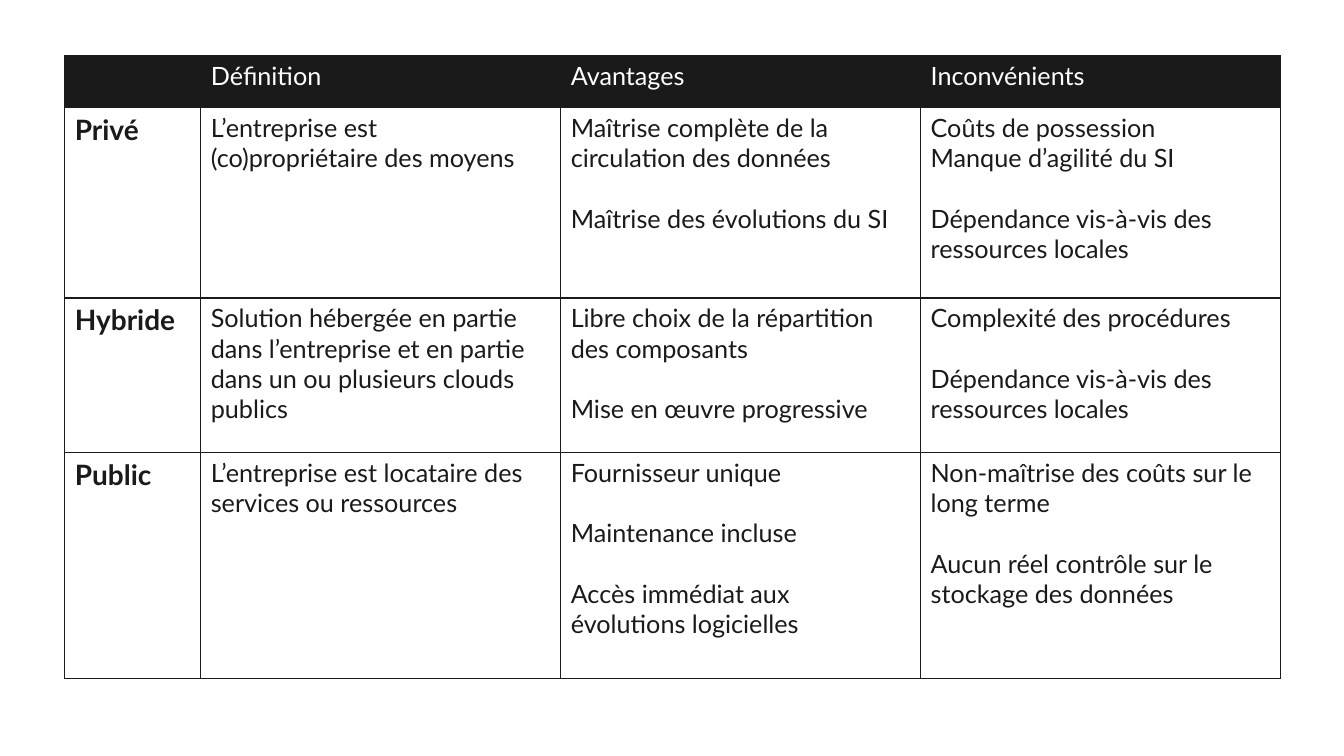
from lxml import etree
from pptx import Presentation
from pptx import util as u
from pptx.dml import color
from pptx.oxml import ns

COLORS = {"ink": "1A1A1A", "paper": "FFFFFF"}
FONT = "Lato"
BLANK_LINE = u.Pt(21.6)

column_widths = [3.43, 9.07, 9.07, 9.07]
row_heights = [1.3, 4.8, 3.89, 5.69]

cloud_models = [
    [[], ["Définition"], ["Avantages"], ["Inconvénients"]],
    [
        ["Privé"],
        ["L’entreprise est (co)propriétaire des moyens"],
        ["Maîtrise complète de la circulation des données", "Maîtrise des évolutions du SI"],
        ["Coûts de possession\nManque d’agilité du SI",
         "Dépendance vis-à-vis des ressources locales"],
    ],
    [
        ["Hybride"],
        ["Solution hébergée en partie dans l’entreprise et en partie "
         "dans un ou plusieurs clouds publics"],
        ["Libre choix de la répartition des composants", "Mise en œuvre progressive"],
        ["Complexité des procédures", "Dépendance vis-à-vis des ressources locales"],
    ],
    [
        ["Public"],
        ["L’entreprise est locataire des services ou ressources"],
        ["Fournisseur unique", "Maintenance incluse",
         "Accès immédiat aux évolutions logicielles"],
        ["Non-maîtrise des coûts sur le long terme",
         "Aucun réel contrôle sur le stockage des données"],
    ],
]


def rgb(name):
    return color.RGBColor.from_string(COLORS[name])


def add_borders(cell):
    properties = cell._tc.get_or_add_tcPr()
    for side in ("a:lnL", "a:lnR", "a:lnT", "a:lnB"):
        border = etree.SubElement(properties, ns.qn(side), w=str(u.Pt(1)))
        fill = etree.SubElement(border, ns.qn("a:solidFill"))
        etree.SubElement(fill, ns.qn("a:srgbClr"), val=COLORS["ink"])


deck = Presentation()
deck.slide_width = u.Cm(33.87)
deck.slide_height = u.Cm(19.05)
slide = deck.slides.add_slide(deck.slide_layouts[6])

comparison = slide.shapes.add_table(
    len(row_heights), len(column_widths), u.Cm(1.63), u.Cm(1.41),
    u.Cm(sum(column_widths)), u.Cm(sum(row_heights)),
).table
comparison.horz_banding = False

for column, width in zip(comparison.columns, column_widths):
    column.width = u.Cm(width)
for row, height in zip(comparison.rows, row_heights):
    row.height = u.Cm(height)

for r, model in enumerate(cloud_models):
    for c, points in enumerate(model):
        cell = comparison.cell(r, c)
        add_borders(cell)
        cell.fill.solid()
        cell.fill.fore_color.rgb = rgb("ink" if r == 0 else "paper")
        is_model_name = r > 0 and c == 0

        cell.text = "\n".join(points)
        for paragraph in cell.text_frame.paragraphs:
            paragraph.font.name = FONT
            paragraph.font.size = u.Pt(20 if is_model_name else 18)
            paragraph.font.bold = is_model_name
            paragraph.font.color.rgb = rgb("paper" if r == 0 else "ink")
            if paragraph.text in points[1:]:
                paragraph.space_before = BLANK_LINE

deck.save("out.pptx")
